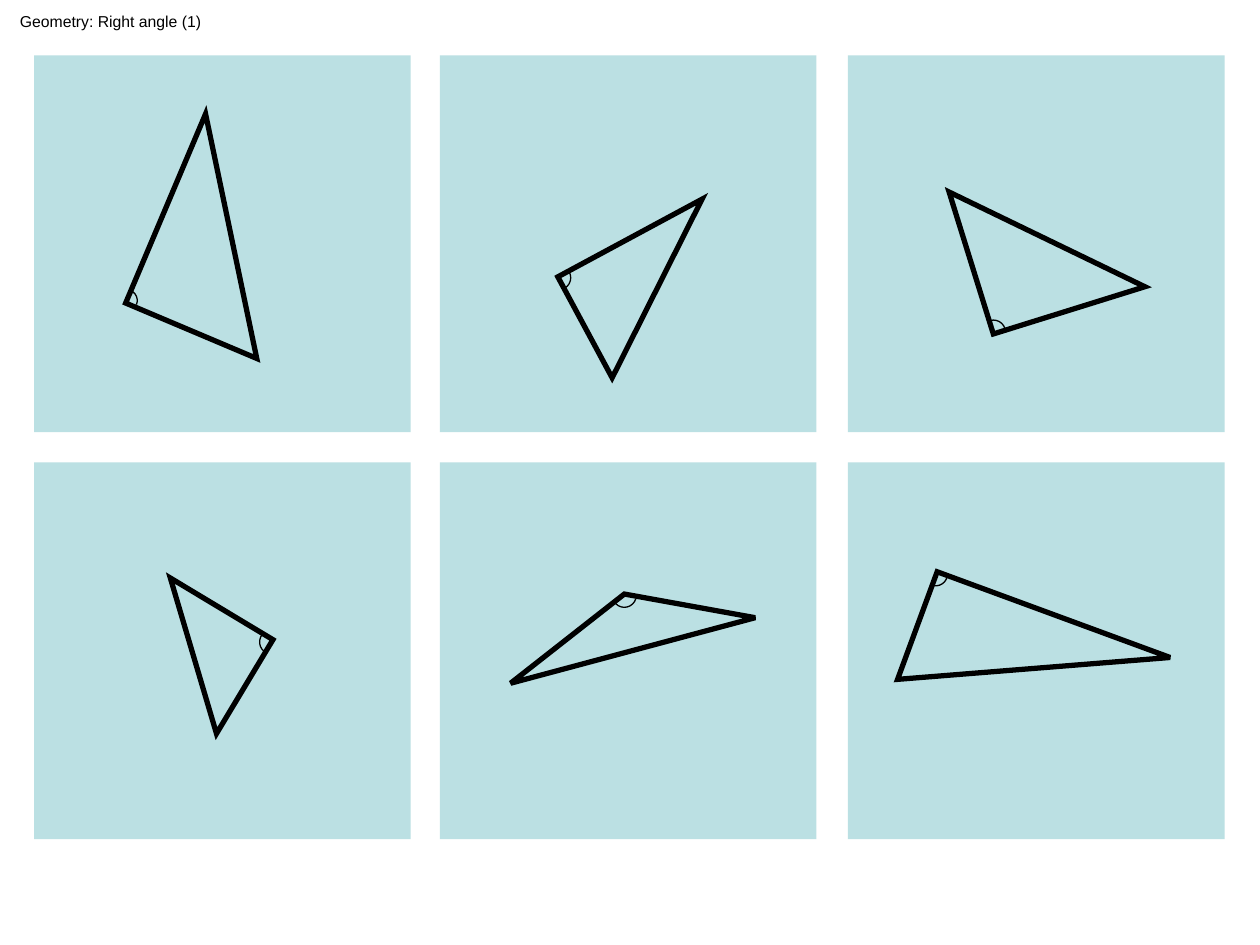
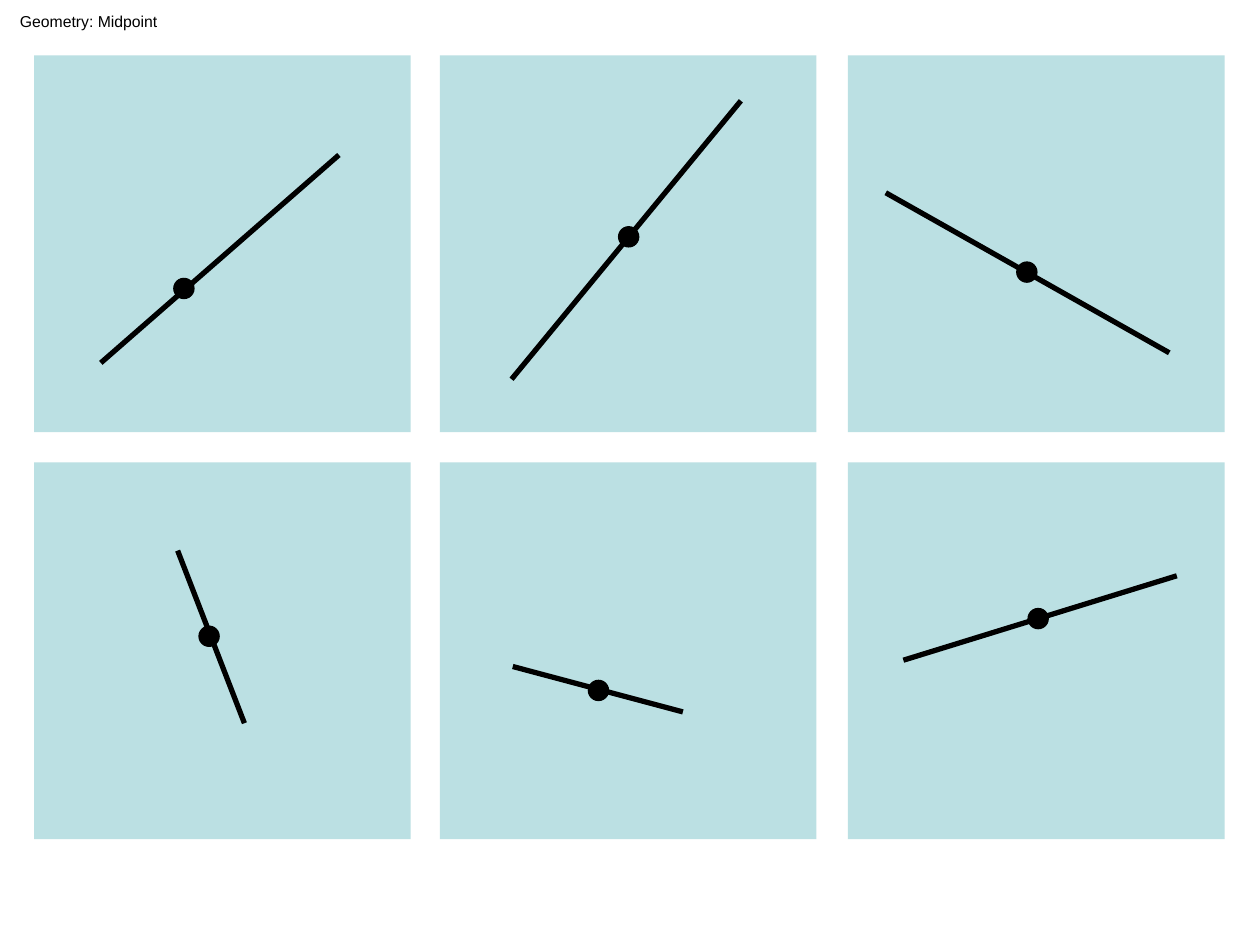
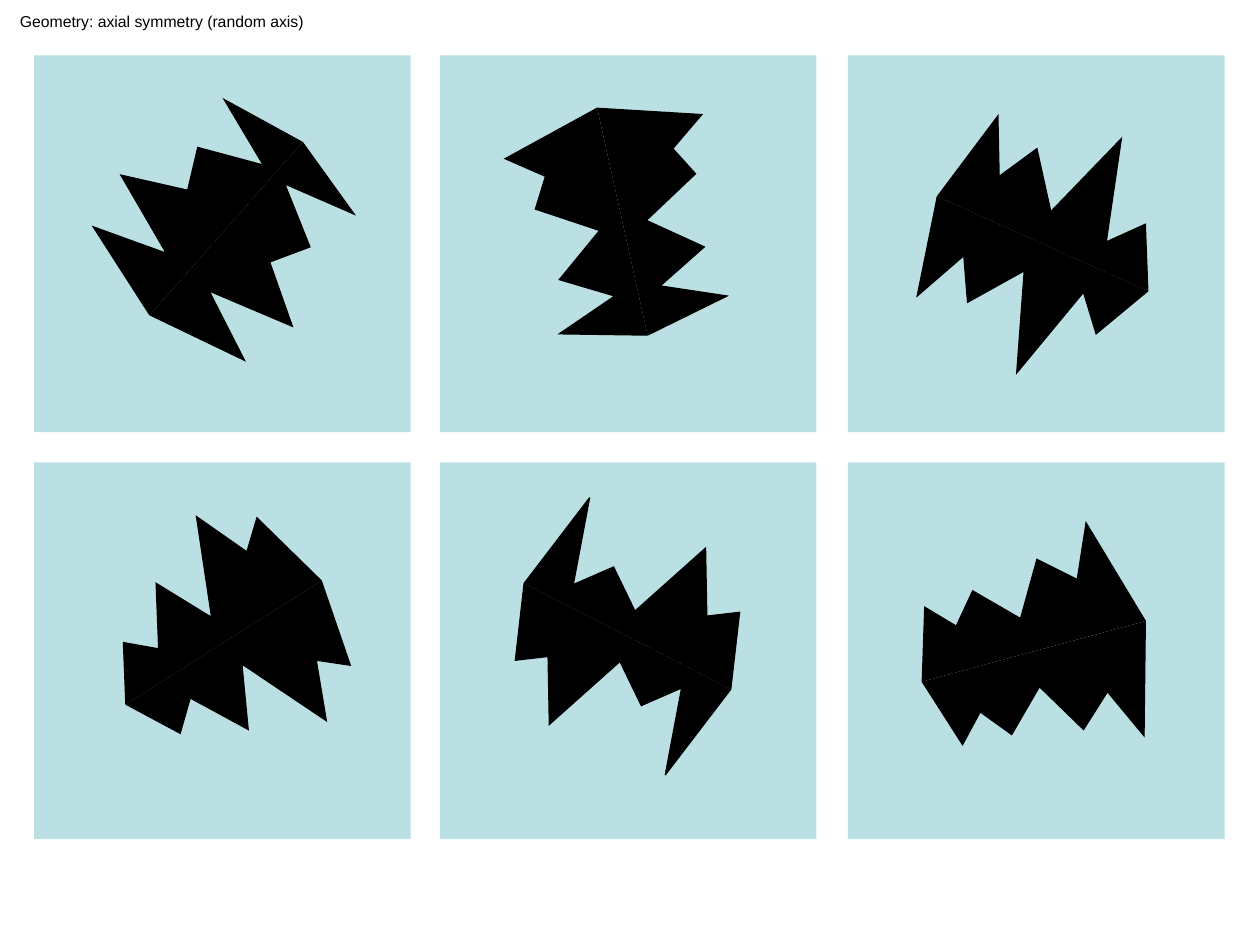
from dataclasses import dataclass
from itertools import product

from lxml import etree
from pptx import Presentation
from pptx import util as u
from pptx.dml.color import RGBColor
from pptx.enum import shapes, text
from pptx.oxml.ns import qn

PX = u.Inches(1) // 100
KIND = shapes.MSO_SHAPE


@dataclass(frozen=True)
class Theme:
    tile: RGBColor = RGBColor.from_string("BBE0E3")
    ink: RGBColor = RGBColor.from_string("000000")
    font: str = "Arial"
    title_size: float = 9
    thick: float = 3
    thin: float = 0.75


COLUMNS = (27, 349, 673)
ROWS = (44, 367)
TILE = 299
DOT = 16

# kind, box, rotation, adjustments
TRIANGLES = [
    (KIND.RIGHT_TRIANGLE, (476, 164, 91, 130), 61.7, ()),
    (KIND.RIGHT_TRIANGLE, (768, 131, 126, 118), 342.7, ()),
    (KIND.RIGHT_TRIANGLE, (106, 477, 95, 87), 211, ()),
    (KIND.ISOSCELES_TRIANGLE, (396, 472, 201, 45), 345, (0.525,)),
    (KIND.RIGHT_TRIANGLE, (127, 106, 113, 163), 22.9, ()),
    (KIND.RIGHT_TRIANGLE, (775, 432, 91, 197), 110.2, ()),
]
# left, top, diameter, rotation, end angle
ANGLE_MARKS = [
    (92, 230, 17, 22.9, 0),
    (434, 211, 19, 59.7, 0),
    (779, 254, 19, 344.7, 0),
    (733, 446, 19, 101.7, 0),
    (486, 463, 19, 106.4, 41.6),
    (206, 500, 19, 218.8, 0),
]
# segment start, segment end, dot corner
SEGMENTS = [
    ((269, 123), (80, 288), (138, 221)),
    ((588, 80), (406, 301), (491, 180)),
    ((703, 153), (928, 280), (807, 208)),
    ((194, 574), (141, 437), (158, 497)),
    ((542, 565), (407, 529), (467, 540)),
    ((717, 524), (934, 457), (816, 483)),
]


def mirrored(half):
    start, end = complex(*half[0]), complex(*half[-1])
    axis = end - start
    images = [start + axis * ((complex(*p) - start) / axis).conjugate() for p in half]
    return [(round(p.real), round(p.imag)) for p in images]


def half_turned(half):
    (x1, y1), (x2, y2) = half[0], half[-1]
    return [(x1 + x2 - x, y1 + y2 - y) for x, y in half]


FIGURES = [
    (mirrored, [(119, 250), (74, 180), (132, 201), (96, 139), (149, 151),
                (157, 117), (209, 131), (178, 79), (240, 113)]),
    (mirrored, [(100, 559), (143, 582), (151, 554), (197, 579), (192, 527),
                (259, 572), (251, 524), (278, 528), (255, 461)]),
    (mirrored, [(474, 86), (401, 126), (433, 140), (425, 166), (476, 183),
                (444, 222), (488, 235), (444, 265), (514, 266)]),
    (half_turned, [(416, 463), (409, 524), (435, 521), (436, 575), (492, 525),
                   (509, 560), (541, 546), (528, 615), (580, 547)]),
    (mirrored, [(911, 231), (870, 265), (860, 232), (807, 296), (813, 215),
                (768, 240), (765, 203), (728, 235), (744, 156)]),
    (mirrored, [(909, 493), (862, 415), (855, 460), (823, 444), (810, 491),
                (772, 469), (759, 497), (734, 482), (732, 541)]),
]


def assign(target, values):
    for name, value in values.items():
        setattr(target, name, value)


class Deck:
    def __init__(self, theme):
        self.theme = theme
        self.file = Presentation()
        assign(self.file, {"slide_width": 1000 * PX, "slide_height": 750 * PX})

    def page(self, title, title_width):
        self.slide = self.file.slides.add_slide(self.file.slide_layouts[6])
        for top, left in product(ROWS, COLUMNS):
            self.shape(KIND.RECTANGLE, (left, top, TILE, TILE), self.theme.tile)
        self.title(title, title_width)

    def title(self, words, width):
        frame = self.slide.shapes.add_textbox(6 * PX, 4 * PX, width * PX, 25 * PX).text_frame
        assign(frame, {"word_wrap": False, "auto_size": text.MSO_AUTO_SIZE.SHAPE_TO_FIT_TEXT})
        run = frame.paragraphs[0].add_run()
        run.text = words
        assign(run.font, {"name": self.theme.font, "size": u.Pt(self.theme.title_size)})
        run.font.color.rgb = self.theme.ink

    def stroke(self, line, weight):
        line.width = u.Pt(weight)
        line.color.rgb = self.theme.ink

    def paint(self, item, fill, weight):
        item.shadow.inherit = False
        if fill is None:
            item.fill.background()
        else:
            item.fill.solid()
            item.fill.fore_color.rgb = fill
        if weight:
            self.stroke(item.line, weight)
            outline = item.line._get_or_add_ln()
            etree.SubElement(outline, qn("a:miter")).set("lim", "800000")
        else:
            item.line.fill.background()

    def shape(self, kind, box, fill=None, weight=0, rotation=0, adjustments=()):
        item = self.slide.shapes.add_shape(kind, *(side * PX for side in box))
        item.rotation = rotation
        for index, value in enumerate(adjustments):
            item.adjustments[index] = value
        self.paint(item, fill, weight)

    def angle_mark(self, left, top, diameter, rotation, end):
        degree = 0.6
        self.shape(KIND.ARC, (left, top, diameter, diameter), None, self.theme.thin,
                   rotation, (270 * degree, end * degree))

    def segment(self, start, end):
        ends = (value * PX for value in (*start, *end))
        item = self.slide.shapes.add_connector(shapes.MSO_CONNECTOR.STRAIGHT, *ends)
        self.stroke(item.line, self.theme.thick)
        etree.SubElement(item._element.spPr, qn("a:effectLst"))

    def dot(self, corner):
        self.shape(KIND.OVAL, (*corner, DOT, DOT), self.theme.ink, self.theme.thin)

    def outline(self, points):
        builder = self.slide.shapes.build_freeform(*points[0], scale=PX)
        builder.add_line_segments(points[1:], close=False)
        self.paint(builder.convert_to_shape(), self.theme.ink, self.theme.thin)


def main():
    theme = Theme()
    deck = Deck(theme)

    deck.page("Geometry: Right angle (1)", 164)
    for kind, box, rotation, adjustments in TRIANGLES:
        deck.shape(kind, box, theme.tile, theme.thick, rotation, adjustments)
    for mark in ANGLE_MARKS:
        deck.angle_mark(*mark)

    deck.page("Geometry: Midpoint", 129)
    for start, end, corner in SEGMENTS:
        deck.segment(start, end)
        deck.dot(corner)

    deck.page("Geometry: axial symmetry (random axis)", 245)
    for transform, half in FIGURES:
        deck.outline(half)
        deck.outline(transform(half))

    deck.file.save("out.pptx")


if __name__ == "__main__":
    main()
